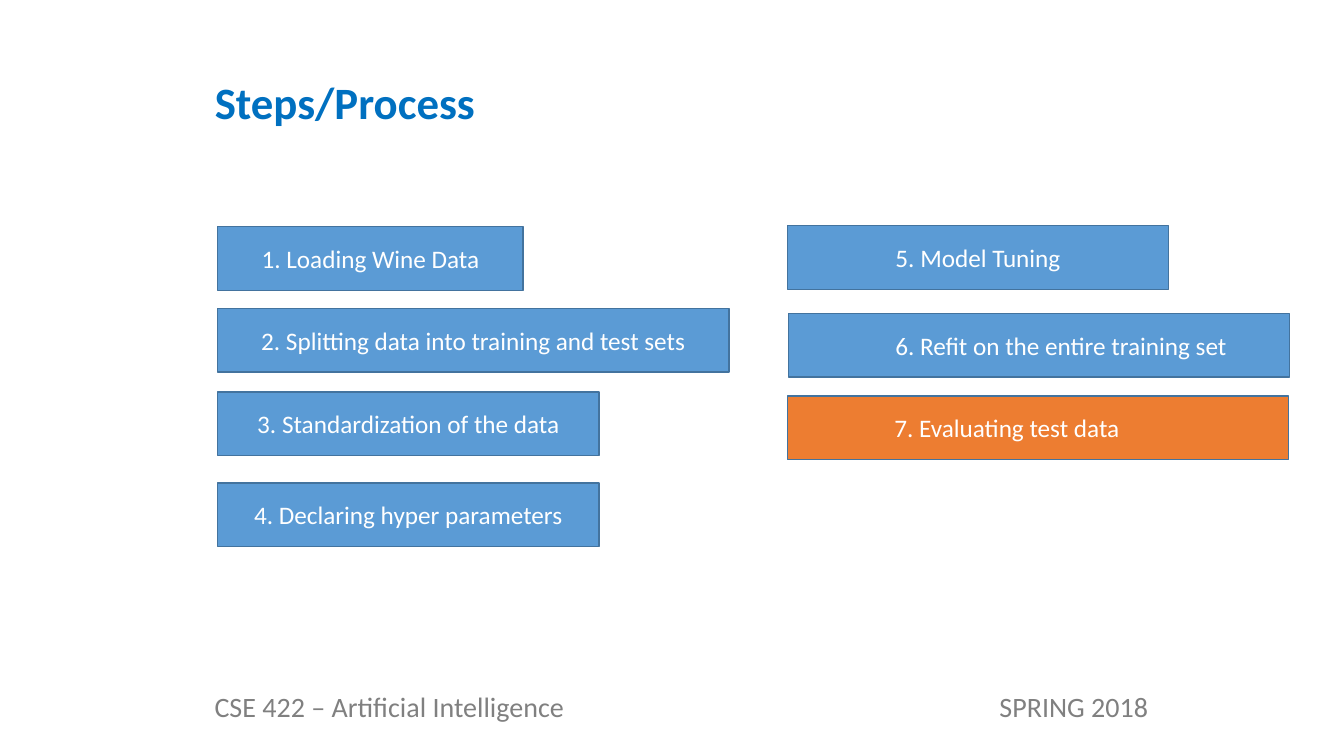
from dataclasses import dataclass

from lxml.etree import SubElement
from pptx import Presentation
from pptx.dml.color import RGBColor
from pptx.enum.shapes import MSO_SHAPE as Preset
from pptx.enum.text import MSO_ANCHOR as Anchor, PP_ALIGN as Align
from pptx.oxml.ns import qn
from pptx.util import Inches, Pt


@dataclass(frozen=True)
class Theme:
    font: str = "Calibri"
    title_color: str = "0070C0"
    footer_color: str = "808080"
    step_fill: str = "5B9BD5"
    final_fill: str = "ED7D31"
    outline: str = "43739E"
    step_text: str = "FFFFFF"
    title_size: int = 32
    footer_size: int = 20
    step_size: int = 18


class ProcessSlide:
    step_height = 0.63
    step_indent = 1.06

    def __init__(self, presentation, theme):
        self.theme = theme
        self.slide = presentation.slides.add_slide(presentation.slide_layouts[5])

    def add_text(self, paragraph, text, size, color, bold=False):
        run = paragraph.add_run()
        run.text = text
        run.font.name = self.theme.font
        run.font.size = Pt(size)
        run.font.bold = bold
        run.font.color.rgb = RGBColor.from_string(color)

    def title(self, text, left, top, width, height):
        shape = self.slide.shapes.title
        shape.left, shape.top = Inches(left), Inches(top)
        shape.width, shape.height = Inches(width), Inches(height)
        frame = shape.text_frame
        frame.word_wrap = True
        frame.vertical_anchor = Anchor.TOP
        paragraph = frame.paragraphs[0]
        paragraph.alignment = Align.LEFT
        self.add_text(paragraph, text, self.theme.title_size, self.theme.title_color, True)

    def footer(self, course, term, left, top, width, height, tab):
        shape = self.slide.shapes.add_textbox(
            Inches(left), Inches(top), Inches(width), Inches(height))
        shape.text_frame.word_wrap = True
        paragraph = shape.text_frame.paragraphs[0]
        properties = paragraph._p.get_or_add_pPr()
        tab_list = SubElement(properties, qn("a:tabLst"))
        SubElement(tab_list, qn("a:tab"), pos=str(Inches(tab)), algn="r")
        for text in (course, "\t", term):
            self.add_text(paragraph, text, self.theme.footer_size, self.theme.footer_color)

    def step(self, text, left, top, width, fill, indented=False):
        shape = self.slide.shapes.add_shape(
            Preset.RECTANGLE, Inches(left), Inches(top),
            Inches(width), Inches(self.step_height))
        shape.shadow.inherit = False
        shape.fill.solid()
        shape.fill.fore_color.rgb = RGBColor.from_string(fill)
        shape.line.color.rgb = RGBColor.from_string(self.theme.outline)
        shape.line.width = Pt(1)
        frame = shape.text_frame
        frame.word_wrap = True
        frame.vertical_anchor = Anchor.MIDDLE
        paragraph = frame.paragraphs[0]
        paragraph.alignment = Align.CENTER
        if indented:
            frame.margin_left = Inches(self.step_indent)
            paragraph.alignment = Align.LEFT
        self.add_text(paragraph, text, self.theme.step_size, self.theme.step_text)


def main():
    presentation = Presentation()
    presentation.slide_width = Inches(13.33)
    presentation.slide_height = Inches(7.5)
    theme = Theme()
    page = ProcessSlide(presentation, theme)

    page.title("Steps/Process", 2.03, 0.69, 9.55, 0.64)
    page.footer("CSE 422 – Artificial Intelligence", "SPRING 2018",
                2.03, 6.79, 9.57, 0.44, tab=9.26)

    steps = [
        ("Loading Wine Data", 2.16, 2.25, 3.03, theme.step_fill, False),
        ("Splitting data into training and test sets", 2.16, 3.06, 5.07, theme.step_fill, False),
        ("Standardization of the data", 2.16, 3.89, 3.78, theme.step_fill, False),
        ("Declaring hyper parameters", 2.16, 4.79, 3.78, theme.step_fill, False),
        ("Model Tuning", 7.81, 2.24, 3.78, theme.step_fill, False),
        ("Refit on the entire training set", 7.82, 3.11, 4.97, theme.step_fill, True),
        ("Evaluating test data", 7.81, 3.93, 4.97, theme.final_fill, True),
    ]
    for number, (label, *placement) in enumerate(steps, start=1):
        page.step(f"{number}. {label}", *placement)

    presentation.save("out.pptx")


if __name__ == "__main__":
    main()
